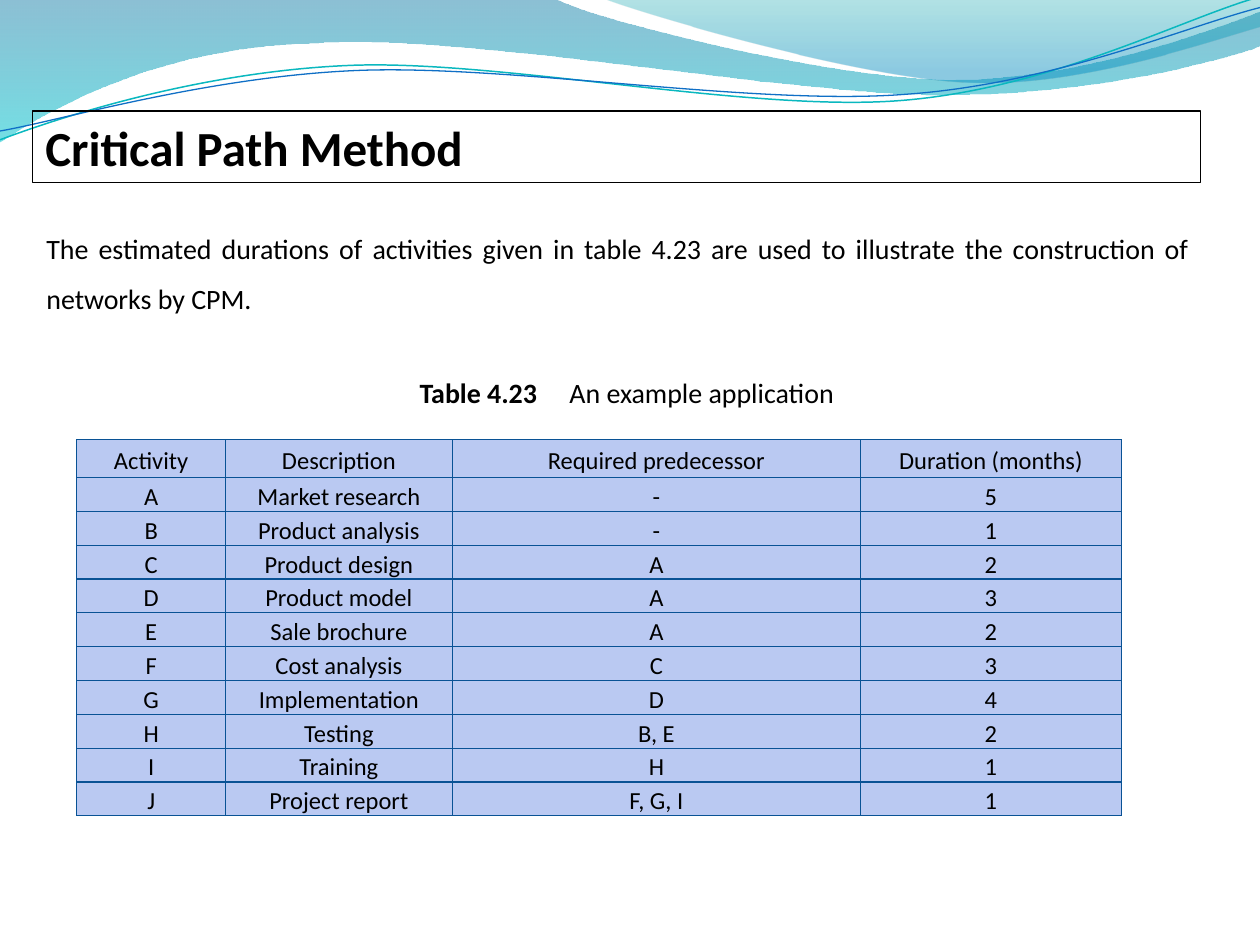
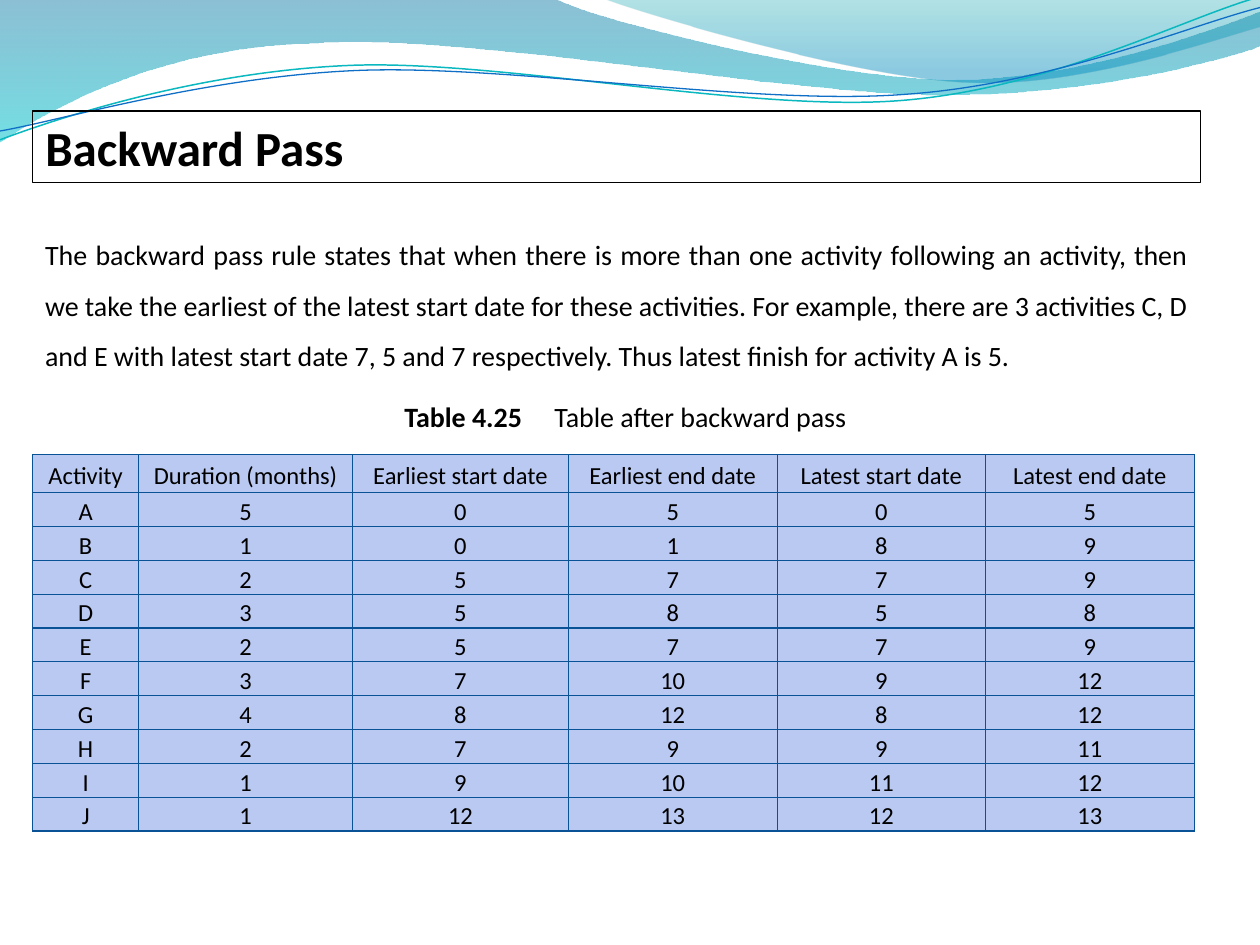
from dataclasses import dataclass
from typing import Any

import lxml.etree
import pptx
import pptx.dml.color
import pptx.enum.text
import pptx.oxml.ns
import pptx.util

Inches = pptx.util.Inches
Pt = pptx.util.Pt
qn = pptx.oxml.ns.qn
ALIGN = pptx.enum.text.PP_ALIGN
ANCHOR = pptx.enum.text.MSO_ANCHOR

FONT = "Calibri"
BLACK = "000000"
CELL_FILL = "BAC9F2"
CELL_BORDER = "095295"
TITLE_LAYOUT = 5
FIRST_WAVE_ID = 101
HEADER_HEIGHT, ROW_HEIGHT = 0.3, 0.26
CAPTION_TAB = 1.19


@dataclass(frozen=True)
class GradientStop:
    position: float
    color: str
    opacity: int


@dataclass(frozen=True)
class Wave:
    """A start point, then segments: 2 numbers are a line, 6 a cubic curve."""
    start: tuple[float, float]
    segments: list[tuple[float, ...]]
    stops: tuple[GradientStop, ...] = ()
    line: tuple[str, float] | None = None


@dataclass(frozen=True)
class Box:
    left: float
    top: float
    width: float
    height: float

    def emu(self) -> list[int]:
        return [Inches(n) for n in (self.left, self.top, self.width, self.height)]


@dataclass(frozen=True)
class TableSlide:
    title: str
    intro: str
    intro_box: Box
    label: str
    caption: str
    caption_box: Box
    caption_inset: float
    table_left: float
    table_top: float
    columns: list[float]
    rows: list[str]


TITLE_BOX = Box(0.26, 0.88, 9.27, 0.57)

WAVES = [
    Wave((0, 0), [
        (4.4, -0.01),
        (4.76, 0.17, 6.64, 0.63, 7.58, 0.63),
        (8.53, 0.63, 9.58, 0.26, 10, 0.09),
        (10.01, 0.36),
        (9.83, 0.44, 8.7, 0.76, 7.46, 0.75),
        (6.22, 0.75, 3.82, 0.28, 2.57, 0.34),
        (1.29, 0.36, 0.46, 0.83, -0.01, 1.13),
        (0, 0),
    ], stops=(GradientStop(0, "0074A1", 45), GradientStop(1, "00C6CF", 55))),
    Wave((4.79, -0.01), [
        (5.09, 0.11, 6.82, 0.62, 7.69, 0.65),
        (8.56, 0.69, 9.61, 0.32, 10, 0.21),
        (10, 0),
        (4.79, -0.01),
    ], stops=(GradientStop(0, "00A1A9", 30), GradientStop(0.8, "008BBF", 45))),
    Wave((0, 1.11), [
        (0.48, 0.93, 1.58, 0.57, 2.77, 0.52),
        (3.95, 0.47, 5.93, 0.89, 7.13, 0.8),
        (8.33, 0.71, 9.38, 0.15, 9.98, -0.02),
    ], line=("0AB8BF", 0.85)),
    Wave((0, 1.04), [
        (0.47, 0.96, 1.64, 0.61, 2.83, 0.56),
        (4.03, 0.51, 5.97, 0.84, 7.17, 0.75),
        (8.36, 0.67, 9.41, 0.21, 10, 0.06),
    ], line=("0F6FC6", 0.75)),
]

SLIDES = [
    TableSlide(
        title="Critical Path Method",
        intro="The estimated durations of activities given in table 4.23 are used "
              "to illustrate the construction of networks by CPM.",
        intro_box=Box(0.27, 1.67, 9.27, 0.87),
        label="Table 4.23",
        caption="An example application",
        caption_box=Box(2.55, 2.93, 4.84, 0.37),
        caption_inset=0.78,
        table_left=0.61,
        table_top=3.49,
        columns=[1.18, 1.8, 3.24, 2.07],
        rows=[
            "Activity|Description|Required predecessor|Duration (months)",
            "A|Market research|-|5",
            "B|Product analysis|-|1",
            "C|Product design|A|2",
            "D|Product model|A|3",
            "E|Sale brochure|A|2",
            "F|Cost analysis|C|3",
            "G|Implementation|D|4",
            "H|Testing|B, E|2",
            "I|Training|H|1",
            "J|Project report|F, G, I|1",
        ],
    ),
    TableSlide(
        title="Backward Pass",
        intro="The backward pass rule states that when there is more than one activity "
              "following an activity, then we take the earliest of the latest start date "
              "for these activities. For example, there are 3 activities C, D and E with "
              "latest start date 7, 5 and 7 respectively. Thus latest finish for activity "
              "A is 5.",
        intro_box=Box(0.26, 1.72, 9.27, 1.27),
        label="Table 4.25",
        caption="Table after backward pass",
        caption_box=Box(2.54, 3.12, 4.84, 0.37),
        caption_inset=0.67,
        table_left=0.26,
        table_top=3.61,
        columns=[0.84, 1.7, 1.71, 1.66, 1.65, 1.66],
        rows=[
            "Activity|Duration (months)|Earliest start date|Earliest end date"
            "|Latest start date|Latest end date",
            "A|5|0|5|0|5",
            "B|1|0|1|8|9",
            "C|2|5|7|7|9",
            "D|3|5|8|5|8",
            "E|2|5|7|7|9",
            "F|3|7|10|9|12",
            "G|4|8|12|8|12",
            "H|2|7|9|9|11",
            "I|1|9|10|11|12",
            "J|1|12|13|12|13",
        ],
    ),
]


def rgb(color: str) -> pptx.dml.color.RGBColor:
    return pptx.dml.color.RGBColor.from_string(color)


def apply(target: Any, **values: Any) -> None:
    for name, value in values.items():
        setattr(target, name, value)


def format_font(font: Any, size: float, bold: bool = False) -> None:
    apply(font, name=FONT, size=Pt(size), bold=bold)
    font.color.rgb = rgb(BLACK)


def bend_curves(outline: Any, segments: list[tuple[float, ...]]) -> None:
    """Merge the three lines through a curve's points into one cubic curve."""
    lines = iter(list(outline.iter(qn("a:lnTo"))))
    for segment in segments:
        first = next(lines)
        if len(segment) == 6:
            first.tag = qn("a:cubicBezTo")
            for _ in range(2):
                following = next(lines)
                first.append(following[0])
                following.getparent().remove(following)


def draw_wave(slide: Any, wave: Wave) -> Any:
    builder = slide.shapes.build_freeform(*(Inches(n) for n in wave.start), scale=1.0)
    points = [(Inches(x), Inches(y)) for segment in wave.segments
              for x, y in zip(segment[::2], segment[1::2])]
    builder.add_line_segments(points, close=bool(wave.stops))
    shape = builder.convert_to_shape()
    bend_curves(shape.element, wave.segments)
    shape.shadow.inherit = False
    if wave.line:
        shape.fill.background()
        color, width = wave.line
        shape.line.color.rgb = rgb(color)
        shape.line.width = Pt(width)
        return shape
    shape.line.fill.background()
    shape.fill.gradient()
    shape.fill.gradient_angle = 270
    for target, stop in zip(shape.fill.gradient_stops, wave.stops):
        target.color.rgb = rgb(stop.color)
        target.position = stop.position
    for color, stop in zip(shape.element.iter(qn("a:srgbClr")), wave.stops):
        lxml.etree.SubElement(color, qn("a:alpha"), val=str(stop.opacity * 1000))
    return shape


def move_waves_to_master(slide: Any) -> None:
    """Draw the waves once and place them behind the master's placeholders."""
    master_tree = slide.slide_layout.slide_master.shapes.element
    for index, wave in enumerate(WAVES):
        element = draw_wave(slide, wave).element
        next(element.iter(qn("p:cNvPr"))).set("id", str(FIRST_WAVE_ID + index))
        master_tree.insert(2 + index, element)


def add_title(slide: Any, text: str) -> None:
    title = slide.shapes.title
    apply(title, **dict(zip(("left", "top", "width", "height"), TITLE_BOX.emu())))
    title.line.color.rgb = rgb(BLACK)
    title.line.width = Pt(0.75)
    frame = title.text_frame
    apply(frame, text=text, vertical_anchor=ANCHOR.TOP, word_wrap=True,
          auto_size=pptx.enum.text.MSO_AUTO_SIZE.NONE)
    frame.paragraphs[0].alignment = ALIGN.LEFT
    format_font(frame.paragraphs[0].font, 28, bold=True)


def add_intro(slide: Any, content: TableSlide) -> None:
    frame = slide.shapes.add_textbox(*content.intro_box.emu()).text_frame
    apply(frame, text=content.intro, word_wrap=True, vertical_anchor=ANCHOR.MIDDLE)
    apply(frame.paragraphs[0], alignment=ALIGN.JUSTIFY, line_spacing=1.5)
    format_font(frame.paragraphs[0].font, 16)


def add_caption(slide: Any, content: TableSlide) -> None:
    frame = slide.shapes.add_textbox(*content.caption_box.emu()).text_frame
    apply(frame, word_wrap=True, margin_left=Inches(content.caption_inset))
    paragraph = frame.paragraphs[0]
    paragraph.alignment = ALIGN.LEFT
    tabs = lxml.etree.SubElement(paragraph._p.get_or_add_pPr(), qn("a:tabLst"))
    lxml.etree.SubElement(tabs, qn("a:tab"), pos=str(Inches(CAPTION_TAB)), algn="l")
    for text, bold in ((content.label + "\t", True), (content.caption, False)):
        run = paragraph.add_run()
        run.text = text
        format_font(run.font, 16, bold)


def format_cell(cell: Any, text: str) -> None:
    apply(cell, text=text, vertical_anchor=ANCHOR.MIDDLE, margin_top=0, margin_bottom=0,
          margin_left=Inches(0.07), margin_right=Inches(0.07))
    paragraph = cell.text_frame.paragraphs[0]
    apply(paragraph, alignment=ALIGN.CENTER, line_spacing=1.15)
    format_font(paragraph.font, 14)
    properties = cell._tc.get_or_add_tcPr()
    for side in ("a:lnL", "a:lnR", "a:lnT", "a:lnB"):
        border = lxml.etree.SubElement(properties, qn(side), w=str(Pt(0.75)))
        fill = lxml.etree.SubElement(border, qn("a:solidFill"))
        lxml.etree.SubElement(fill, qn("a:srgbClr"), val=CELL_BORDER)
    cell.fill.solid()
    cell.fill.fore_color.rgb = rgb(CELL_FILL)


def add_activity_table(slide: Any, content: TableSlide) -> None:
    heights = [HEADER_HEIGHT] + [ROW_HEIGHT] * (len(content.rows) - 1)
    box = Box(content.table_left, content.table_top, sum(content.columns), sum(heights))
    table = slide.shapes.add_table(len(heights), len(content.columns), *box.emu()).table
    apply(table, first_row=False, horz_banding=False)
    for column, width in zip(table.columns, content.columns):
        column.width = Inches(width)
    for row, height, line in zip(table.rows, heights, content.rows):
        row.height = Inches(height)
        for cell, text in zip(row.cells, line.split("|")):
            format_cell(cell, text)


def main() -> None:
    deck = pptx.Presentation()
    apply(deck, slide_width=Inches(10), slide_height=Inches(7.5))
    layout = deck.slide_layouts[TITLE_LAYOUT]
    for content in SLIDES:
        slide = deck.slides.add_slide(layout)
        add_title(slide, content.title)
        add_intro(slide, content)
        add_activity_table(slide, content)
        add_caption(slide, content)
    move_waves_to_master(deck.slides[0])
    deck.save("out.pptx")


if __name__ == "__main__":
    main()
